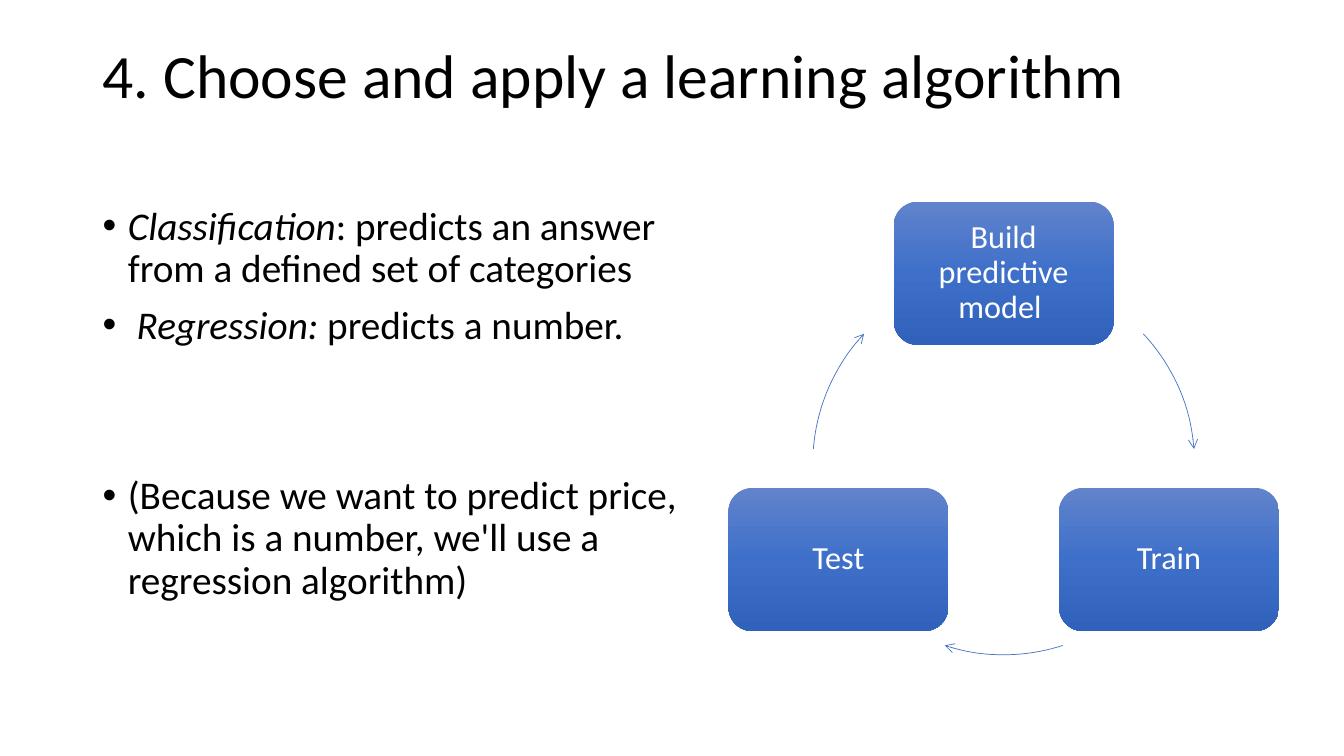
import copy
import math
from dataclasses import dataclass

import pptx
import pptx.util
import pptx.dml.color
import pptx.enum.shapes
import pptx.enum.text
import pptx.oxml

WIDE, HIGH = 13.33, 7.5


@dataclass(frozen=True)
class Theme:
    font: str = "Calibri"
    ink: str = "000000"
    light: str = "FFFFFF"
    line: str = "4472C4"
    shades: tuple = ((0, "6183CB"), (0.5, "3E70CA"), (1, "3062BB"))
    title: int = 44
    body: int = 28
    label: int = 23
    lead: float = 0.9


LOOK = Theme()
SHAPE = pptx.enum.shapes.MSO_SHAPE
ANCHOR = pptx.enum.text.MSO_ANCHOR
# One blank line of body text, with its own space before
BLANK = 40.75


def rgb(code):
    return pptx.dml.color.RGBColor.from_string(code)


def inches(*sizes):
    return [pptx.util.Inches(size) for size in sizes]


def tag(parent, name, **attrs):
    node = pptx.oxml.parse_xml(
        f'<a:{name} xmlns:a="http://schemas.openxmlformats.org/drawingml/2006/main"/>')
    for key, value in attrs.items():
        node.set(key, str(value))
    parent.append(node)


def style(para, size, color):
    para.line_spacing = LOOK.lead
    for run in para.runs:
        run.font.name = LOOK.font
        run.font.size = pptx.util.Pt(size)
        run.font.color.rgb = rgb(color)


def textbox(slide, box):
    frame = slide.shapes.add_textbox(*inches(*box)).text_frame
    frame.word_wrap = True
    frame.vertical_anchor = ANCHOR.TOP
    return frame


def heading(slide, box, text):
    frame = textbox(slide, box)
    frame.text = text
    style(frame.paragraphs[0], LOOK.title, LOOK.ink)


def bullets(slide, box, items):
    """Each item is a space before and a list of (text, italic) parts."""
    frame = textbox(slide, box)
    for index, (space, parts) in enumerate(items):
        para = frame.add_paragraph() if index else frame.paragraphs[0]
        props = para._p.get_or_add_pPr()
        indent = pptx.util.Inches(0.25)
        props.set("marL", str(indent))
        props.set("indent", str(-indent))
        tag(props, "buFont", typeface="Arial")
        tag(props, "buChar", char="•")
        para.space_before = pptx.util.Pt(space)
        for text, italic in parts:
            run = para.add_run()
            run.text = text
            run.font.italic = italic
        style(para, LOOK.body, LOOK.ink)


def shade(fill):
    fill.gradient()
    fill.gradient_angle = 270
    stops = fill.gradient_stops
    first = stops[0]._gs
    first.addnext(copy.deepcopy(first))
    for stop, (place, color) in zip(fill.gradient_stops, LOOK.shades):
        stop.position = place
        stop.color.rgb = rgb(color)


def step(slide, mid, size, text):
    left, top = (m - s / 2 for m, s in zip(mid, size))
    card = slide.shapes.add_shape(
        SHAPE.ROUNDED_RECTANGLE, *inches(left, top, *size))
    card.shadow.inherit = False
    card.line.fill.background()
    shade(card.fill)
    frame = card.text_frame
    frame.word_wrap = True
    frame.vertical_anchor = ANCHOR.MIDDLE
    frame.margin_left = frame.margin_right = pptx.util.Inches(0.1)
    frame.margin_top = frame.margin_bottom = pptx.util.Inches(0.1)
    frame.text = text
    para = frame.paragraphs[0]
    para.alignment = pptx.enum.text.PP_ALIGN.CENTER
    style(para, LOOK.label, LOOK.light)


def arrow(slide, ring, start, end):
    arc = slide.shapes.add_shape(SHAPE.ARC, *inches(*ring))
    # Angles are kept in 60000ths of a degree, adjustments in 100000ths
    arc.adjustments[0] = start * 0.6
    arc.adjustments[1] = end * 0.6
    arc.shadow.inherit = False
    arc.fill.background()
    arc.line.color.rgb = rgb(LOOK.line)
    arc.line.width = pptx.util.Pt(0.5)
    tag(arc.line._get_or_add_ln(), "tailEnd", type="arrow")


def cycle(slide, box, names, spans):
    """Steps evenly round a ring, clockwise from the top."""
    left, top, width, height = box
    size = width * 0.4, height / 3
    radius = (height - size[1]) / 1.5
    mid = left + width / 2, top + size[1] / 2 + radius
    ring = mid[0] - radius, mid[1] - radius, 2 * radius, 2 * radius
    for index, (name, span) in enumerate(zip(names, spans)):
        turn = math.radians(360 / len(names) * index - 90)
        spot = (mid[0] + radius * math.cos(turn),
                mid[1] + radius * math.sin(turn))
        step(slide, spot, size, name)
        arrow(slide, ring, *span)


def main():
    deck = pptx.Presentation()
    deck.slide_width, deck.slide_height = inches(WIDE, HIGH)
    slide = deck.slides.add_slide(deck.slide_layouts[6])
    left = 0.92

    # Title
    heading(slide, (left, 0.4, WIDE - 2 * left, 1.45),
            "4. Choose and apply a learning algorithm")

    # Kinds of algorithm
    bullets(slide, (left, 2, 5.9, 4.5), [
        (0, [("Classification", True),
             (": predicts an answer from a defined set of categories", False)]),
        (10, [(" ", False), ("Regression:", True),
              (" predicts a number.", False)]),
        (10 + 2 * BLANK, [("(Because we want to predict price, which is a "
                           "number, we'll use a regression algorithm)", False)]),
    ])

    # Model cycle
    cycle(slide, (7.23, 2, 5.45, 4.26),
          ["Build predictive model ", "Train", "Test"],
          [(317, 355.5), (72, 108), (184.5, 223)])

    deck.save("out.pptx")


if __name__ == "__main__":
    main()
